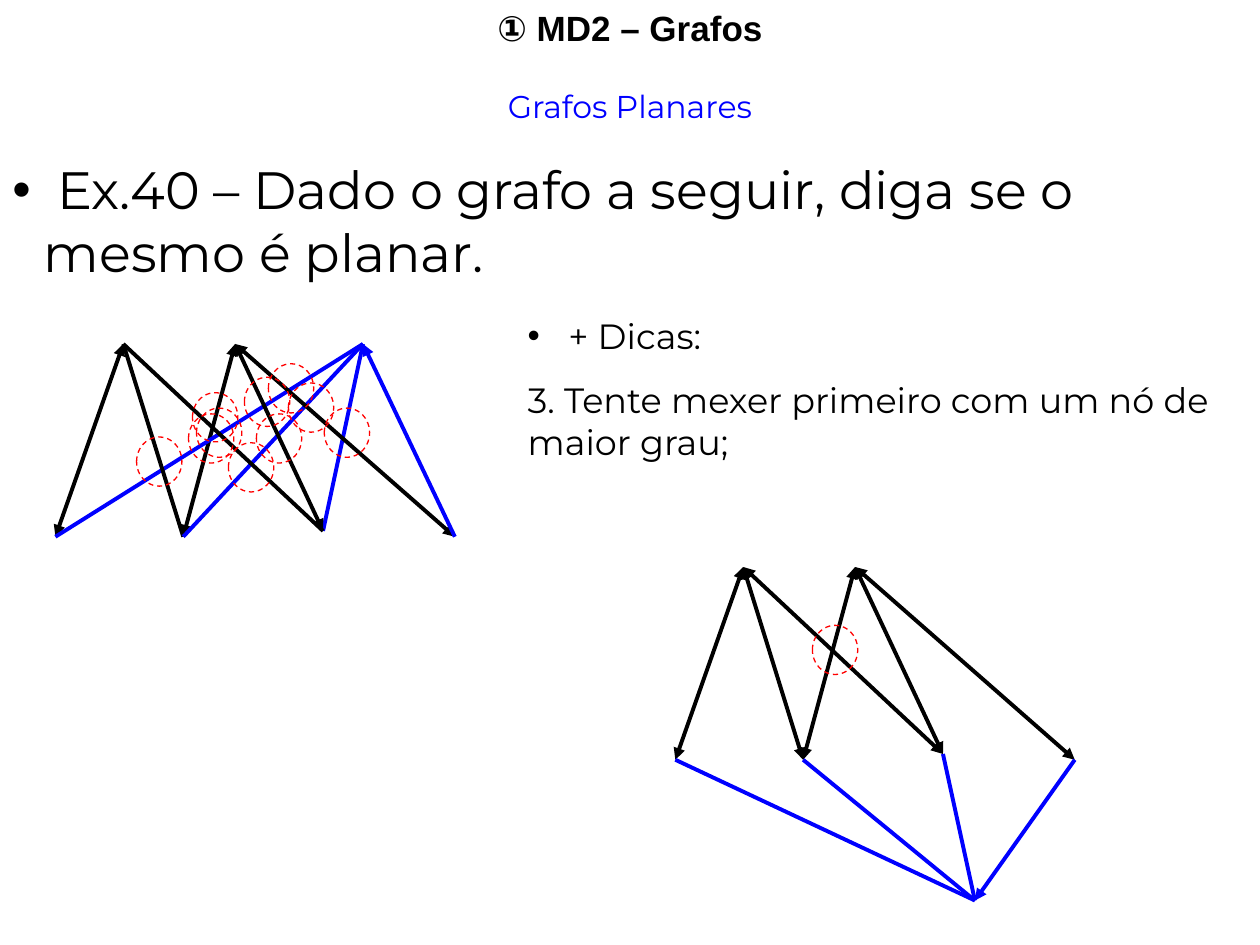
from lxml import etree
from pptx import Presentation
from pptx.dml.color import RGBColor
from pptx.enum.dml import MSO_LINE
from pptx.enum.shapes import MSO_CONNECTOR, MSO_SHAPE
from pptx.enum.text import MSO_ANCHOR, MSO_AUTO_SIZE, PP_ALIGN
from pptx.oxml.ns import qn
from pptx.util import Inches, Pt

STRAIGHT, ELLIPSE = MSO_CONNECTOR.STRAIGHT, MSO_SHAPE.OVAL
DASH, TOP = MSO_LINE.DASH, MSO_ANCHOR.TOP
CENTER, LEFT = PP_ALIGN.CENTER, PP_ALIGN.LEFT

COLORS = {"text": "000000", "moved": "0000FF", "crossing": "FF0000"}
BODY_FONT = "Montserrat"
HANGING = Inches(0.25)
CIRCLE_W, CIRCLE_H = 0.36, 0.39

# Vertices and crossings are shares of the graph's box.
VERTICES = {
    "A": (0.17, 0), "B": (0.45, 0), "C": (0.77, 0),
    "1": (0, 1), "2": (0.32, 1), "3": (0.67, 0.97), "4": (1, 1),
}
VERTICES_MOVED = {**VERTICES, "C": (0.75, 1.73)}
EDGES = ["1A", "2B", "3C", "1C", "2A", "2C", "3B", "3A", "B4", "4C"]
CROSSINGS = [
    (0.26, 0.61), (0.49, 0.64), (0.56, 0.49), (0.73, 0.46), (0.64, 0.33),
    (0.59, 0.23), (0.53, 0.3), (0.41, 0.46), (0.4, 0.38), (0.39, 0.49),
]


def rgb(name):
    return RGBColor.from_string(COLORS[name])


def place(sp, box):
    sp.left, sp.top, sp.width, sp.height = (Inches(v) for v in box)


def style(p, size, color="text", font=BODY_FONT, bold=False, align=LEFT, before=0):
    p.alignment = align
    p.space_before = Pt(before)
    for r in p.runs:
        r.font.size, r.font.name, r.font.bold = Pt(size), font, bold
        r.font.color.rgb = rgb(color)


def add_bullet(p):
    pPr = p._p.get_or_add_pPr()
    pPr.set("marL", str(HANGING))
    pPr.set("indent", str(-HANGING))
    clr = etree.SubElement(pPr, qn("a:buClr"))
    etree.SubElement(clr, qn("a:srgbClr"), val=COLORS["text"])
    etree.SubElement(pPr, qn("a:buFont"), typeface="Arial")
    etree.SubElement(pPr, qn("a:buChar"), char="•")


def add_title(s, box):
    sp = s.shapes.title
    place(sp, box)
    tf = sp.text_frame
    tf.text = "① MD2 – Grafos"
    tf.vertical_anchor = TOP
    tf.auto_size = MSO_AUTO_SIZE.NONE
    style(tf.paragraphs[0], 20, font="Arial", bold=True, align=CENTER)


def add_text(s, box, text):
    tf = s.shapes.add_textbox(*(Inches(v) for v in box)).text_frame
    tf.word_wrap = True
    tf.text = text
    return tf.paragraphs


def add_statement(s, box):
    heading, exercise = add_text(
        s, box,
        "Grafos Planares\n Ex.40 – Dado o grafo a seguir, diga se o mesmo é planar.")
    style(heading, 18, "moved", align=CENTER)
    add_bullet(exercise)
    style(exercise, 30, before=18.7)


def add_hints(s, box):
    heading, hint = add_text(
        s, box, " + Dicas:\n3. Tente mexer primeiro com um nó de maior grau;")
    add_bullet(heading)
    style(heading, 20)
    style(hint, 20, before=12.5)


def add_edge(group, start, end, color, head, tail):
    line = group.shapes.add_connector(STRAIGHT, *(Inches(v) for v in start + end))
    line.line.color.rgb = rgb(color)
    line.line.width = Pt(2.25)
    ln = line.line._get_or_add_ln()
    for tag, wanted in (("a:headEnd", head), ("a:tailEnd", tail)):
        if wanted:
            etree.SubElement(ln, qn(tag), type="triangle")
    etree.SubElement(line._element.spPr, qn("a:effectLst"))


def add_crossing(group, center):
    x, y = center
    box = (x - CIRCLE_W / 2, y - CIRCLE_H / 2, CIRCLE_W, CIRCLE_H)
    sp = group.shapes.add_shape(ELLIPSE, *(Inches(v) for v in box))
    sp.shadow.inherit = False
    sp.fill.background()
    sp.line.color.rgb = rgb("crossing")
    sp.line.width = Pt(0.75)
    sp.line.dash_style = DASH


def add_graph(s, box, vertices, crossings, plain=()):
    """Edges named in plain, and those of C except 4C, have no arrowheads."""
    left, top, width, height = box

    def at(share):
        return left + share[0] * width, top + share[1] * height

    group = s.shapes.add_group_shape()
    for edge in EDGES:
        start, end = edge
        moved = end == "C"
        arrows = not moved and edge not in plain
        add_edge(group, at(vertices[start]), at(vertices[end]),
                 "moved" if moved else "text", arrows, arrows or edge == "4C")
    for share in crossings:
        add_crossing(group, at(share))


def main():
    prs = Presentation()
    prs.slide_width, prs.slide_height = Inches(10), Inches(7.5)
    s = prs.slides.add_slide(prs.slide_layouts[5])
    add_title(s, (0, 0, 10, 0.44))
    add_statement(s, (0, 0.64, 10, 1.66))
    add_hints(s, (4.09, 2.45, 5.83, 1.28))
    add_graph(s, (0.44, 2.73, 3.17, 1.53), VERTICES, CROSSINGS, plain=("2A", "3A"))
    add_graph(s, (5.36, 4.5, 3.17, 1.53), VERTICES_MOVED, [(0.4, 0.43)])
    prs.save("out.pptx")


if __name__ == "__main__":
    main()
